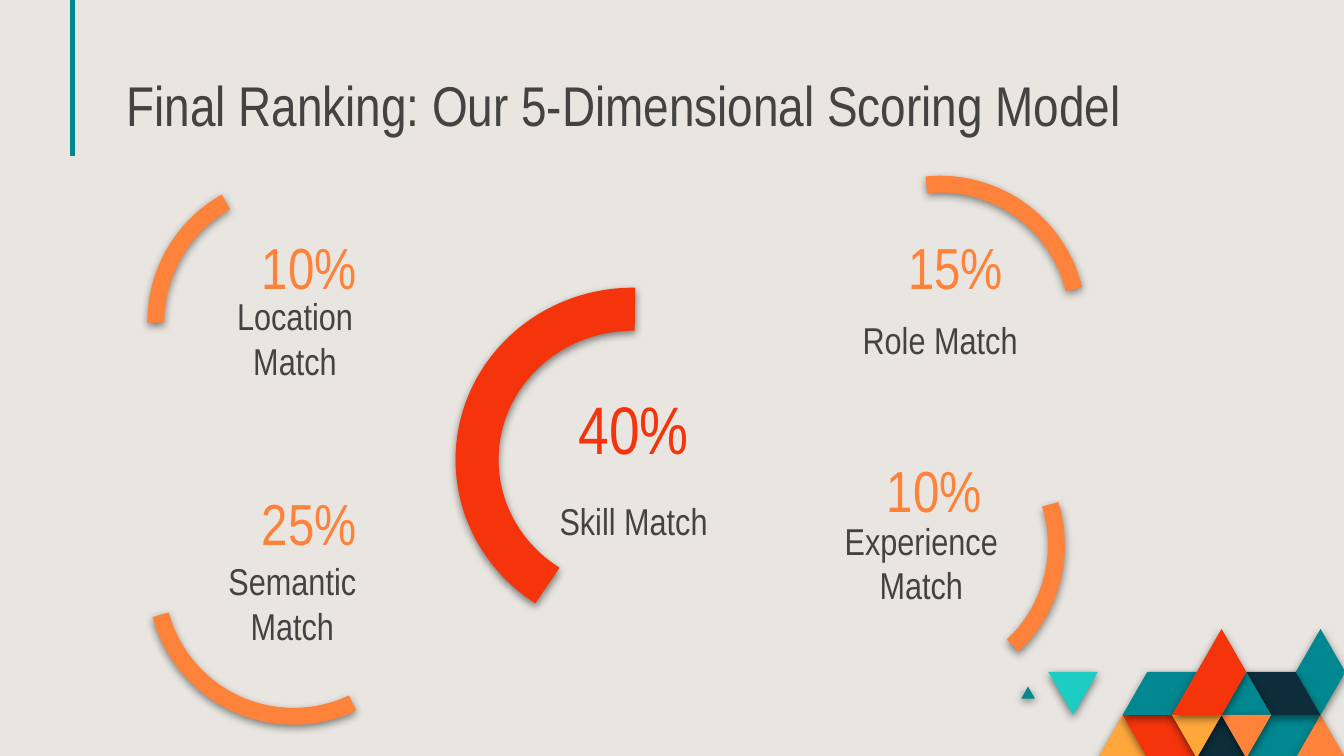
from lxml import etree
from pptx import Presentation
from pptx.dml.color import RGBColor
from pptx.enum.shapes import MSO_CONNECTOR, MSO_SHAPE
from pptx.enum.text import MSO_ANCHOR, MSO_AUTO_SIZE, PP_ALIGN
from pptx.oxml import parse_xml
from pptx.oxml.ns import qn
from pptx.util import Inches, Pt

TITLE = "Final Ranking: Our 5-Dimensional Scoring Model"
FONT = "Arial Narrow"
PAPER, INK = "E9E6E1", "434343"
TEAL, AQUA, NAVY = "018790", "1DCDC3", "0C2E3A"
RED, ORANGE, AMBER = "F5340B", "FF823B", "FFA73B"

# Dial left and top, start and end angle in degrees, share, label, label left and top
DIALS = [
    (1.16, 3.28, 15.24, 115.33, "25%", "Semantic Match", 1.4, 4.28),
    (5.97, 1.37, 193.69, 275.73, "15%", "Role Match", 6.22, 2.15),
    (5.81, 3.03, 133.07, 197.17, "10%", "Experience Match", 6.08, 3.98),
    (1.16, 1.37, 299.46, 0.33, "10%", "Location Match", 1.42, 2.31),
]
DIAL_SIZE = 2.05

# Corner mosaic, back to front: colour and corners as (column, row)
MOSAIC_LEFT, MOSAIC_TOP, COLUMN, ROW = 7.80, 4.68, 2.21 / 12, 0.32
MOSAIC = [
    (NAVY, [(6, 3), (7, 2), (8, 3)]),
    (AMBER, [(2, 3), (3, 2), (4, 3)]),
    (RED, [(3, 2), (5, 2), (6, 3), (4, 3)]),
    (TEAL, [(8, 3), (9, 2), (11, 2), (10, 3)]),
    (ORANGE, [(10, 3), (11, 2), (12, 3)]),
    (TEAL, [(3, 2), (4, 1), (6, 1), (5, 2)]),
    (TEAL, [(-1.09, 1.62), (-0.82, 1.34), (-0.54, 1.62)]),
    (AQUA, [(0, 1), (2, 1), (1, 2)]),
    (TEAL, [(10, 1), (11, 0), (12, 1), (11, 2)]),
    (NAVY, [(8, 1), (10, 1), (11, 2), (9, 2)]),
    (TEAL, [(7, 2), (8, 1), (9, 2)]),
    (ORANGE, [(7, 2), (9, 2), (8, 3)]),
    (AMBER, [(5, 2), (7, 2), (6, 3)]),
    (RED, [(5, 2), (7, 0), (8, 1), (7, 2)]),
]

HEADING = dict(size=30, color=INK, align=PP_ALIGN.LEFT, anchor=MSO_ANCHOR.BOTTOM, spacing=0.8)
SHARE = dict(size=31, color=ORANGE, align=PP_ALIGN.LEFT, anchor=MSO_ANCHOR.TOP, spacing=0.8)
MAIN_SHARE = dict(size=36, color=RED, align=PP_ALIGN.CENTER, anchor=MSO_ANCHOR.BOTTOM, spacing=0.8)
LABEL = dict(size=20, color=INK, align=PP_ALIGN.CENTER, anchor=MSO_ANCHOR.BOTTOM, spacing=1.0)


def rgb(value):
    return RGBColor.from_string(value)


def angle(degrees):
    """Convert degrees to the normalised value of an angle adjustment."""
    return degrees * 0.6


def box(left, top, width, height):
    return [Inches(v) for v in (left, top, width, height)]


def add_shadow(shape, opacity=50):
    shape.shadow.inherit = False
    effects = shape._element.spPr.find(qn("a:effectLst"))
    effects.append(parse_xml(
        '<a:outerShdw xmlns:a="http://schemas.openxmlformats.org/drawingml/2006/main" '
        'blurRad="57150" dist="19050" dir="5400000" algn="bl" rotWithShape="0">'
        f'<a:srgbClr val="000000"><a:alpha val="{opacity * 1000}"/></a:srgbClr></a:outerShdw>'))


def paint(shape, color):
    shape.fill.solid()
    shape.fill.fore_color.rgb = rgb(color)
    shape.line.fill.background()
    add_shadow(shape)


def write(holder, text, style):
    frame = holder.text_frame
    frame.text = text
    settings = dict(word_wrap=True, auto_size=MSO_AUTO_SIZE.NONE, vertical_anchor=style["anchor"])
    settings.update({f"margin_{side}": Inches(0.1) for side in ("left", "top", "right", "bottom")})
    for name, value in settings.items():
        setattr(frame, name, value)
    paragraph = frame.paragraphs[0]
    paragraph.alignment = style["align"]
    paragraph.line_spacing = style["spacing"]
    font = paragraph.runs[0].font
    for name, value in dict(name=FONT, size=Pt(style["size"])).items():
        setattr(font, name, value)
    font.color.rgb = rgb(style["color"])


def add_text(slide, place, text, style):
    write(slide.shapes.add_textbox(*box(*place)), text, style)


def add_mosaic(slide):
    for color, corners in MOSAIC:
        points = [(Inches(MOSAIC_LEFT + c * COLUMN), Inches(MOSAIC_TOP + r * ROW))
                  for c, r in corners]
        outline = slide.shapes.build_freeform(*points[0], scale=1.0)
        outline.add_line_segments(points[1:], close=True)
        paint(outline.convert_to_shape(), color)


def add_heading(slide):
    rule = slide.shapes.add_connector(
        MSO_CONNECTOR.STRAIGHT, Inches(0.54), 0, Inches(0.54), Inches(1.16))
    rule.line.color.rgb = rgb(TEAL)
    rule.line.width = Pt(2.25)
    etree.SubElement(rule._element.spPr, qn("a:effectLst"))
    title = slide.shapes.title
    title.left, title.top, title.width, title.height = box(0.84, 0.49, 7.75, 0.63)
    write(title, TITLE, HEADING)


def add_main_dial(slide):
    ring = slide.shapes.add_shape(MSO_SHAPE.BLOCK_ARC, *box(3.43, 2.1, 2.56, 2.64))
    ring.rotation = 270
    for i, value in enumerate((angle(214.21), angle(0.75), 0.125)):
        ring.adjustments[i] = value
    paint(ring, RED)
    add_text(slide, (3.38, 2.58, 2.67, 1), "40%", MAIN_SHARE)
    add_text(slide, (3.38, 3.5, 2.67, 0.64), "Skill Match", LABEL)


def add_dial(slide, left, top, start, end, share, label, label_left, label_top):
    arc = slide.shapes.add_shape(MSO_SHAPE.ARC, *box(left, top, DIAL_SIZE, DIAL_SIZE))
    arc._element.spPr.find(qn("a:xfrm")).set("flipH", "1")
    arc.adjustments[0], arc.adjustments[1] = angle(start), angle(end)
    arc.fill.background()
    arc.line.color.rgb = rgb(ORANGE)
    arc.line.width = Pt(9)
    add_shadow(arc, 45)
    add_text(slide, (left + 0.69, top + 0.35, 1.55, 0.8), share, SHARE)
    add_text(slide, (label_left, label_top, 1.55, 0.64), label, LABEL)


def main():
    deck = Presentation()
    deck.slide_width = Inches(10)
    deck.slide_height = deck.slide_width * 9 // 16
    slide = deck.slides.add_slide(deck.slide_layouts[5])
    slide.background.fill.solid()
    slide.background.fill.fore_color.rgb = rgb(PAPER)
    add_mosaic(slide)
    add_heading(slide)
    add_main_dial(slide)
    for dial in DIALS:
        add_dial(slide, *dial)
    deck.save("out.pptx")


if __name__ == "__main__":
    main()
